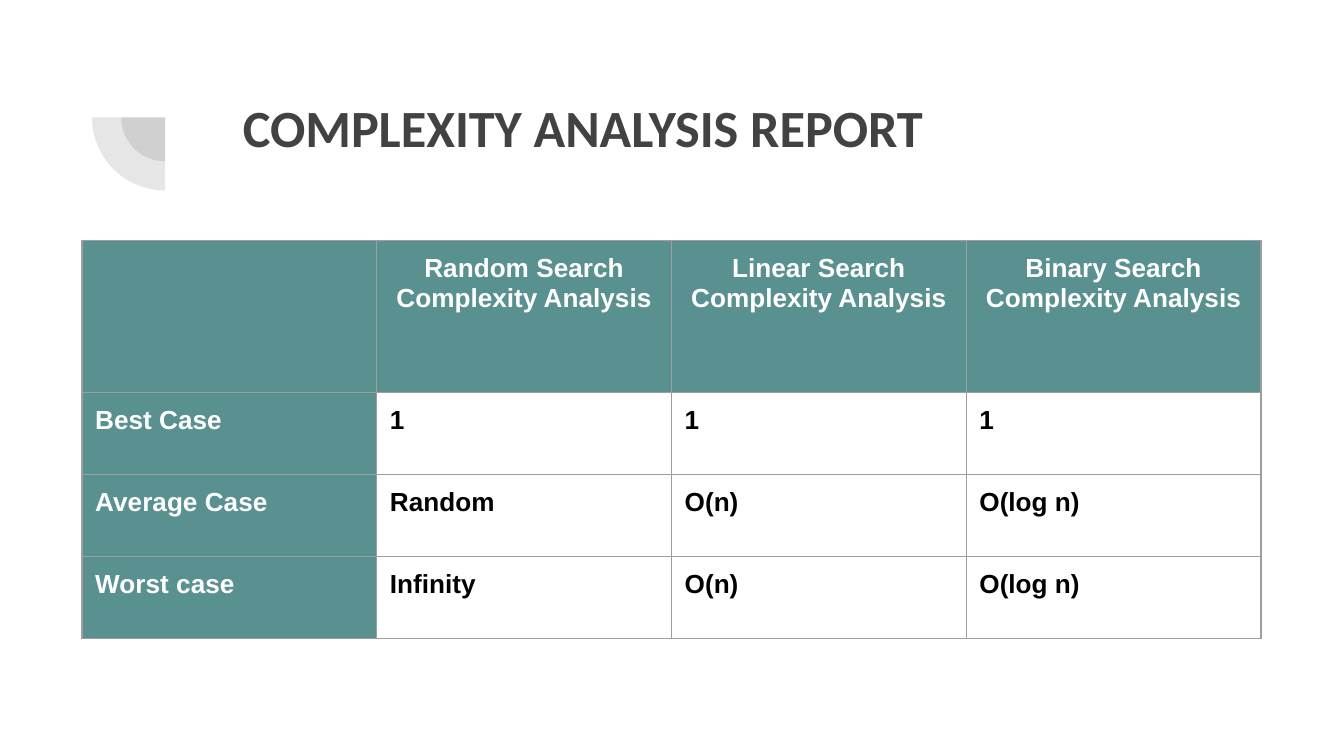
"""Build the complexity analysis report slide."""
from dataclasses import dataclass

from lxml import etree
from pptx import Presentation
from pptx.dml.color import RGBColor
from pptx.enum.shapes import MSO_SHAPE
from pptx.enum.text import MSO_ANCHOR, MSO_AUTO_SIZE, PP_ALIGN
from pptx.oxml.ns import qn
from pptx.slide import Slide
from pptx.table import _Cell
from pptx.text.text import TextFrame
from pptx.util import Cm, Pt

PIE = MSO_SHAPE.PIE
TOP = MSO_ANCHOR.TOP
NO_AUTOFIT = MSO_AUTO_SIZE.NONE
LEFT, CENTER = PP_ALIGN.LEFT, PP_ALIGN.CENTER

CHARCOAL = RGBColor(0x42, 0x42, 0x42)
TEAL = RGBColor(0x59, 0x91, 0x91)
GRAY = RGBColor(0x9E, 0x9E, 0x9E)
WHITE = RGBColor(0xFF, 0xFF, 0xFF)
BLACK = RGBColor(0x00, 0x00, 0x00)

INSET = Cm(0.25)
COLUMN_WIDTH = Cm(5.57)
ROW_HEIGHTS = [Cm(2.87)] + [Cm(1.55)] * 3
COMPLEXITIES = [
    ["", *(f"{search} Search Complexity Analysis" for search in ("Random", "Linear", "Binary"))],
    ["Best Case", "1", "1", "1"],
    ["Average Case", "Random", "O(n)", "O(log n)"],
    ["Worst case", "Infinity", "O(n)", "O(log n)"],
]


@dataclass(frozen=True)
class QuarterDisc:
    """A translucent quarter disc, in centimetres."""

    corner_x: float
    corner_y: float
    radius: float


QUARTER_DISCS = [QuarterDisc(3.12, 2.22, 0.83), QuarterDisc(3.12, 2.22, 1.38)]


def write_text(frame: TextFrame, text: str, *, font: str, size: float,
               color: RGBColor, align: PP_ALIGN = LEFT) -> None:
    """Write one bold paragraph."""
    paragraph = frame.paragraphs[0]
    paragraph.alignment = align
    run = paragraph.add_run()
    run.text = text
    run.font.name = font
    run.font.size = Pt(size)
    run.font.bold = True
    run.font.color.rgb = color


def draw_quarter_disc(slide: Slide, disc: QuarterDisc) -> None:
    """Draw the lower-left quarter of a disc."""
    quarter = slide.shapes.add_shape(
        PIE, Cm(disc.corner_x - disc.radius), Cm(disc.corner_y - disc.radius),
        Cm(2 * disc.radius), Cm(2 * disc.radius))
    quarter.adjustments[0] = 54.0
    quarter.adjustments[1] = 108.0
    quarter.shadow.inherit = False
    quarter.line.fill.background()
    quarter.fill.solid()
    quarter.fill.fore_color.rgb = CHARCOAL
    tint = quarter.fill._xPr.find(f".//{qn('a:srgbClr')}")
    etree.SubElement(tint, qn("a:alpha"), val="13000")


def add_borders(cell: _Cell) -> None:
    """Put a thin gray line on each side of a cell."""
    properties = cell._tc.get_or_add_tcPr()
    for position, side in enumerate(("a:lnL", "a:lnR", "a:lnT", "a:lnB")):
        border = etree.Element(qn(side), w=str(Pt(0.75)))
        fill = etree.SubElement(border, qn("a:solidFill"))
        etree.SubElement(fill, qn("a:srgbClr"), val=str(GRAY))
        properties.insert(position, border)


def format_cell(cell: _Cell, text: str, *, is_header: bool, align: PP_ALIGN) -> None:
    """Fill, border and label one cell."""
    cell.margin_left = cell.margin_right = INSET
    cell.margin_top = cell.margin_bottom = INSET
    if is_header:
        cell.fill.solid()
        cell.fill.fore_color.rgb = TEAL
    else:
        cell.fill.background()
    add_borders(cell)
    if text:
        write_text(cell.text_frame, text, font="Arial", size=14,
                   color=WHITE if is_header else BLACK, align=align)


def draw_complexity_table(slide: Slide) -> None:
    """Draw the comparison of the three searches."""
    column_count = len(COMPLEXITIES[0])
    table = slide.shapes.add_table(
        len(COMPLEXITIES), column_count, Cm(1.55), Cm(4.55),
        COLUMN_WIDTH * column_count, sum(ROW_HEIGHTS)).table
    for column in table.columns:
        column.width = COLUMN_WIDTH
    for row, height in zip(table.rows, ROW_HEIGHTS):
        row.height = height
    for r, texts in enumerate(COMPLEXITIES):
        for c, text in enumerate(texts):
            format_cell(table.cell(r, c), text, is_header=r == 0 or c == 0,
                        align=CENTER if r == 0 else LEFT)


def place_title(slide: Slide) -> None:
    """Position and write the slide title."""
    title = slide.shapes.title
    title.left, title.top = Cm(4.34), Cm(1.55)
    title.width, title.height = Cm(18.95), Cm(2.77)
    frame = title.text_frame
    frame.word_wrap = True
    frame.auto_size = NO_AUTOFIT
    frame.vertical_anchor = TOP
    frame.margin_left = frame.margin_right = INSET
    frame.margin_top = frame.margin_bottom = INSET
    write_text(frame, "COMPLEXITY ANALYSIS REPORT", font="Calibri", size=28, color=CHARCOAL)


def main() -> None:
    """Build and save the presentation."""
    presentation = Presentation()
    presentation.slide_width, presentation.slide_height = Cm(25.4), Cm(14.29)
    slide = presentation.slides.add_slide(presentation.slide_layouts[5])
    for disc in QUARTER_DISCS:
        draw_quarter_disc(slide, disc)
    place_title(slide)
    draw_complexity_table(slide)
    presentation.save("out.pptx")


if __name__ == "__main__":
    main()
